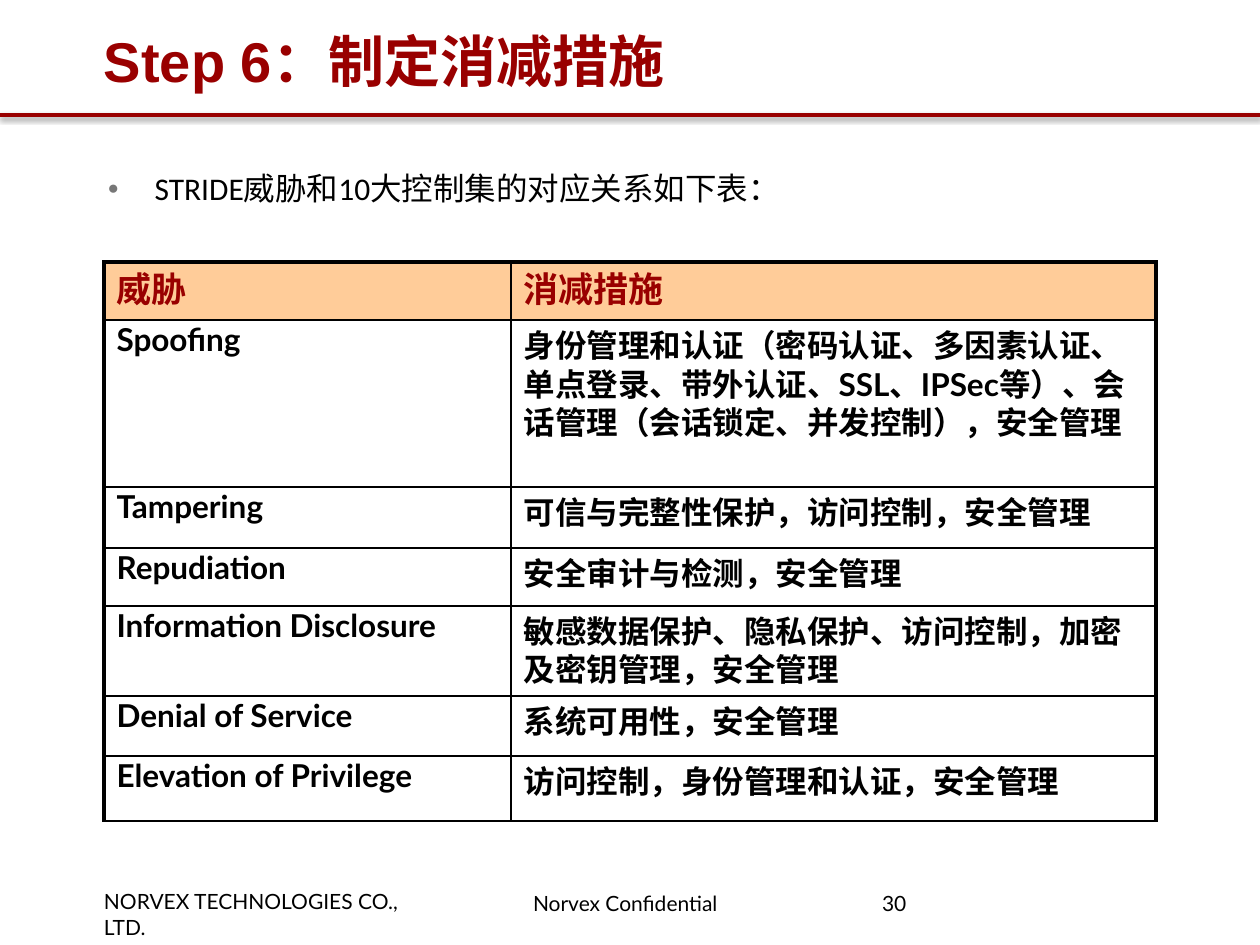
from lxml import etree
from pptx import Presentation, util as u
from pptx.dml.color import RGBColor
from pptx.enum import shapes, text
from pptx.oxml import ns

PX = u.Inches(1) // 126

THEME = {
    "red": "990000", "header": "FFCC99", "ink": "000000", "bullet": "777777",
    "heading_font": "Arial", "intro_font": "Calibri", "text_font": "Lato",
    "title_size": 32, "header_size": 20, "body_size": 18, "footer_size": 12,
    "thick": 2.25, "thin": 1,
}

TITLE = "Step 6：制定消减措施"
INTRO = "STRIDE威胁和10大控制集的对应关系如下表："
HEADER = ("威胁", "消减措施")
THREATS = [
    ("Spoofing", "身份管理和认证（密码认证、多因素认证、单点登录、带外认证、SSL、IPSec等）、"
                 "会话管理（会话锁定、并发控制），安全管理"),
    ("Tampering", "可信与完整性保护，访问控制，安全管理"),
    ("Repudiation", "安全审计与检测，安全管理"),
    ("Information Disclosure", "敏感数据保护、隐私保护、访问控制，加密及密钥管理，安全管理"),
    ("Denial of Service", "系统可用性，安全管理"),
    ("Elevation of Privilege", "访问控制，身份管理和认证，安全管理"),
]
LEFT = 104
COLUMN_WIDTHS = (407, 645)
ROW_HEIGHTS = (58, 167, 61, 58, 90, 60, 65)
# text, box (left, top, width, height), left inset, right inset, line spacing
FOOTERS = [
    ("NORVEX TECHNOLOGIES CO., LTD.", (LEFT, 889, 350, 25), 0, 11, 1),
    ("Norvex Confidential", (522, 891, 210, 25), 11, 11, 1),
    ("30", (877, 894, 248, 50), 5, 0, 0.85),
]


def place(shape, left, top, width, height):
    shape.left, shape.top = left * PX, top * PX
    shape.width, shape.height = width * PX, height * PX


def set_insets(frame, left, top, right, bottom):
    frame.margin_left, frame.margin_top = left * PX, top * PX
    frame.margin_right, frame.margin_bottom = right * PX, bottom * PX


def write(frame, words, size, font, color, bold=False, spacing=1):
    paragraph = frame.paragraphs[0]
    paragraph.alignment = text.PP_ALIGN.LEFT
    paragraph.line_spacing = spacing
    paragraph.space_before = u.Pt(0)
    run = paragraph.add_run()
    run.text = words
    run.font.size = u.Pt(THEME[size])
    run.font.name = THEME[font]
    run.font.bold = bold
    run.font.color.rgb = RGBColor.from_string(THEME[color])


def child(parent, tag, **attributes):
    return etree.SubElement(parent, ns.qn(tag), {k: str(v) for k, v in attributes.items()})


def add_bullet(paragraph, indent):
    properties = paragraph._p.get_or_add_pPr()
    properties.set("marL", str(indent * PX))
    properties.set("indent", str(-indent * PX))
    child(child(properties, "a:buClr"), "a:srgbClr", val=THEME["bullet"])
    child(properties, "a:buSzPct", val=60000)
    child(properties, "a:buFont", typeface=THEME["heading_font"])
    child(properties, "a:buChar", char="●")


def set_borders(cell, widths):
    """Draw the left, right, top and bottom edges, ahead of the cell's fill."""
    properties = cell._tc.get_or_add_tcPr()
    for position, (side, width) in enumerate(zip("LRTB", widths)):
        edge = child(properties, f"a:ln{side}", w=int(u.Pt(width)))
        child(child(edge, "a:solidFill"), "a:srgbClr", val=THEME["ink"])
        properties.insert(position, edge)


def add_threat_table(slide):
    rows = [HEADER, *THREATS]
    frame = slide.shapes.add_table(len(rows), len(HEADER), LEFT * PX, 262 * PX,
                                   sum(COLUMN_WIDTHS) * PX, sum(ROW_HEIGHTS) * PX)
    table = frame.table
    table.first_row = table.horz_banding = False
    for column, width in zip(table.columns, COLUMN_WIDTHS):
        column.width = width * PX
    thick, thin = THEME["thick"], THEME["thin"]
    for r, (row, height) in enumerate(zip(rows, ROW_HEIGHTS)):
        table.rows[r].height = height * PX
        for c, words in enumerate(row):
            cell = table.cell(r, c)
            if r == 0:
                cell.fill.solid()
                cell.fill.fore_color.rgb = RGBColor.from_string(THEME["header"])
                style = ("header_size", "heading_font", "red")
            else:
                cell.fill.background()
                style = ("body_size", "text_font", "ink")
            write(cell.text_frame, words, *style, bold=True, spacing=0.85)
            set_borders(cell, (thick if c == 0 else thin,
                               thick if c == len(row) - 1 else thin,
                               thick if r == 0 else thin, thin))


def add_title_rule(slide):
    rule = slide.shapes.add_connector(shapes.MSO_CONNECTOR.STRAIGHT,
                                      0, 115 * PX, 1260 * PX, 115 * PX)
    rule.line.color.rgb = RGBColor.from_string(THEME["red"])
    rule.line.width = u.Pt(2)
    effects = child(rule._element.spPr, "a:effectLst")
    shadow = child(effects, "a:outerShdw", blurRad=int(u.Pt(3.1)), dist=int(u.Pt(1.6)),
                   dir=90 * 60000, rotWithShape=0)
    child(child(shadow, "a:srgbClr", val=THEME["ink"]), "a:alpha", val=38000)


def main():
    deck = Presentation()
    deck.slide_width, deck.slide_height = u.Inches(10), u.Inches(7.5)
    slide = deck.slides.add_slide(deck.slide_layouts[1])
    title, intro = slide.placeholders

    for words, box, left, right, spacing in FOOTERS:
        footer = slide.shapes.add_textbox(*(n * PX for n in box)).text_frame
        footer.word_wrap = True
        set_insets(footer, left, 0, right, 0)
        write(footer, words, "footer_size", "text_font", "ink", spacing=spacing)

    place(title, LEFT, 0, 1052, 120)
    set_insets(title.text_frame, 0, 5, 11, 5)
    title.text_frame.vertical_anchor = text.MSO_ANCHOR.MIDDLE
    title.text_frame.auto_size = text.MSO_AUTO_SIZE.NONE
    write(title.text_frame, TITLE, "title_size", "heading_font", "red", bold=True)

    add_threat_table(slide)
    add_title_rule(slide)

    place(intro, 95, 148, 678, 67)
    intro.text_frame.auto_size = text.MSO_AUTO_SIZE.NONE
    add_bullet(intro.text_frame.paragraphs[0], 47)
    write(intro.text_frame, INTRO, "body_size", "intro_font", "ink", spacing=1.4)

    deck.save("out.pptx")


if __name__ == "__main__":
    main()
